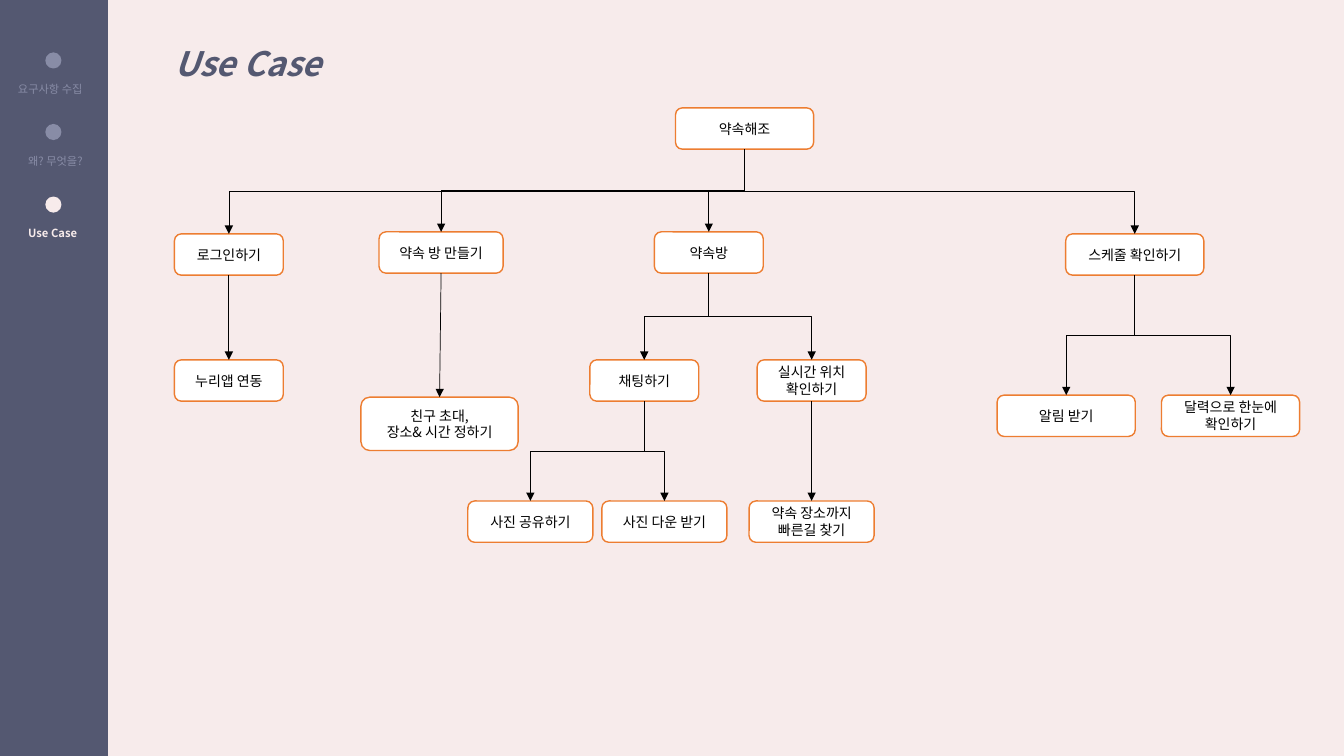
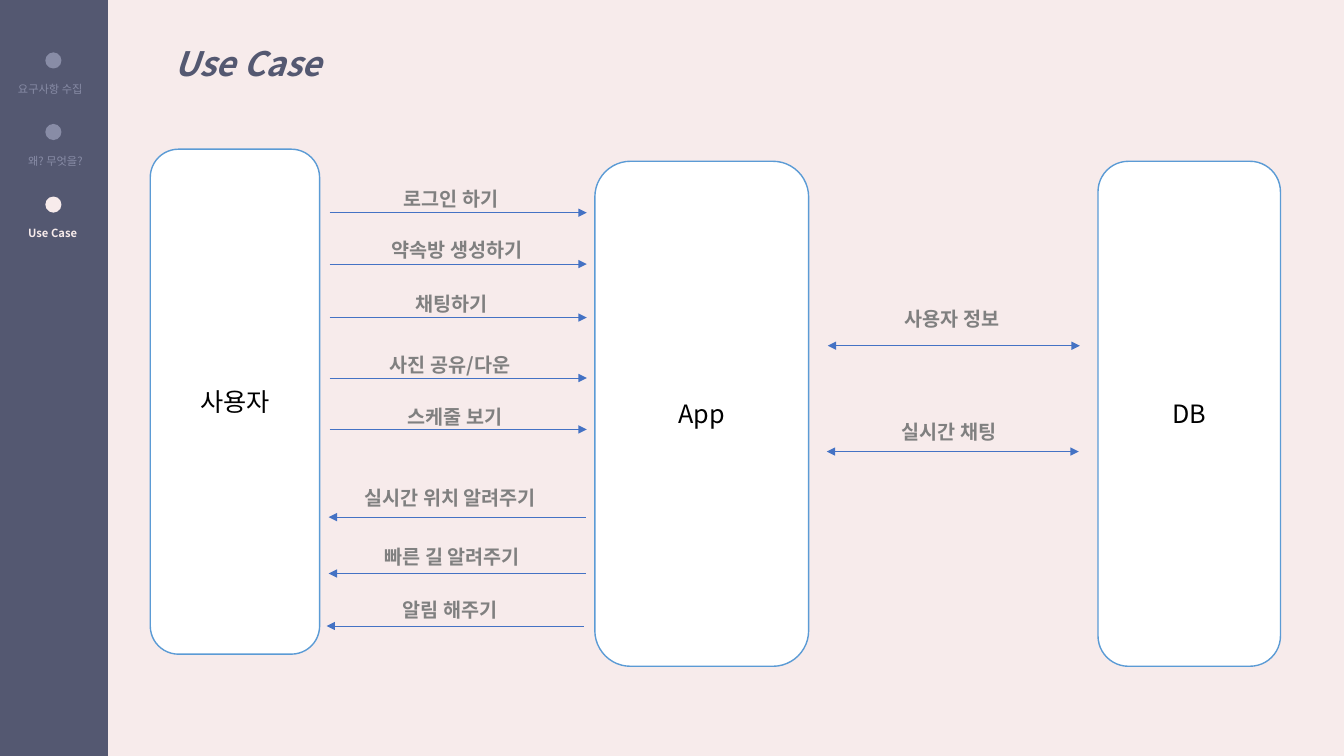
from lxml import etree
from pptx import Presentation
from pptx import util as u
from pptx.dml.color import RGBColor
from pptx.enum import shapes, text
from pptx.oxml.ns import qn

PX = 9144  # one px is a hundredth of an inch
FONT = "Noto Sans CJK KR"
NAVY, MUTED, PINK = "545871", "888CA6", "F7EBEB"
WHITE, BLACK, GREY = "FFFFFF", "000000", "808080"
ORANGE, SKY, BLUE = "ED7D31", "5B9BD5", "4472C4"
OVAL, RECT, ROUND = (shapes.MSO_SHAPE.OVAL, shapes.MSO_SHAPE.RECTANGLE,
                     shapes.MSO_SHAPE.ROUNDED_RECTANGLE)
LEFT, CENTER = text.PP_ALIGN.LEFT, text.PP_ALIGN.CENTER
color = RGBColor.from_string


def add_box(page, kind, place, fill, outline=None):
    """Add a flat preset shape at place: left, top, width, height in px."""
    box = page.shapes.add_shape(kind, *[length * PX for length in place])
    box.shadow.inherit = False
    box.fill.solid()
    box.fill.fore_color.rgb = color(fill)
    if outline:
        box.line.color.rgb = color(outline)
        box.line.width = u.Pt(1)
    else:
        box.line.fill.background()
    return box


def write(box, words, size, ink, bold=False, italic=False, align=CENTER, spacing=None):
    """Fill a shape with text, one paragraph a line."""
    box.text_frame.text = words
    for para in box.text_frame.paragraphs:
        para.alignment = align
        para.line_spacing = spacing
        for span in para.runs:
            span.font.size = u.Pt(size)
            span.font.bold = bold
            span.font.italic = italic
            span.font.color.rgb = color(ink)
            span.font.name = FONT
            etree.SubElement(span.font._element, qn("a:ea"), typeface=FONT)


deck = Presentation()
deck.slide_width, deck.slide_height = u.Inches(13.33), u.Inches(7.5)
deck.slide_master.background.fill.solid()
deck.slide_master.background.fill.fore_color.rgb = color(PINK)

# Title place, shared through the layout
layout = deck.slide_layouts.get_by_name("Title Only")
heading = layout.placeholders[0]
heading.left, heading.top, heading.width, heading.height = [
    length * PX for length in (163, 18, 603, 87)]

# Sidebar steps: words, label left, label width, colour, current
steps = [
    ("요구사항 수집", 8, 92, MUTED, False),
    ("왜? 무엇을?", 18, 79, MUTED, False),
    ("Use Case", 18, 69, PINK, True),
]
tree_page, flow_page = [deck.slides.add_slide(layout) for _ in range(2)]
for page in (tree_page, flow_page):
    title = page.shapes.title
    write(title, "Use Case", 24, NAVY, bold=True, italic=True, align=LEFT, spacing=1.5)
    title.text_frame.vertical_anchor = text.MSO_ANCHOR.TOP
    title.text_frame.auto_size = text.MSO_AUTO_SIZE.NONE
    add_box(page, RECT, (0, 0, 107, 750), NAVY)
    for row, (words, left, width, ink, current) in enumerate(steps):
        top = 52 + row * 143 // 2
        add_box(page, OVAL, (45, top, 16, 16), ink)
        label = page.shapes.add_textbox(left * PX, (top + 25) * PX, width * PX, 24 * PX)
        label.text_frame.word_wrap = False
        label.text_frame.auto_size = text.MSO_AUTO_SIZE.SHAPE_TO_FIT_TEXT
        write(label, words, 8, ink, bold=current, align=LEFT)

arrows = []  # connector, colour, line ends

# Slide 1: use case tree; key: words, left, top, width, height, parent
tree = {
    "root": ("약속해조", 670, 107, 137, 41, None),
    "login": ("로그인하기", 173, 232, 108, 41, "root"),
    "create": ("약속 방 만들기", 376, 230, 123, 41, "root"),
    "room": ("약속방", 649, 230, 108, 41, "root"),
    "schedule": ("스케줄 확인하기", 1057, 232, 137, 41, "root"),
    "account": ("누리앱 연동", 173, 357, 108, 41, "login"),
    "invite": ("친구 초대,\n장소& 시간 정하기", 358, 394, 156, 53, "create"),
    "chat": ("채팅하기", 585, 357, 108, 41, "room"),
    "location": ("실시간 위치 확인하기", 751, 357, 108, 41, "room"),
    "alarm": ("알림 받기", 989, 392, 137, 41, "schedule"),
    "calendar": ("달력으로 한눈에 확인하기", 1152, 392, 137, 41, "schedule"),
    "share": ("사진 공유하기", 464, 497, 124, 41, "chat"),
    "download": ("사진 다운 받기", 597, 497, 124, 41, "chat"),
    "route": ("약속 장소까지 빠른길 찾기", 743, 497, 124, 41, "location"),
}
nodes = {}
for key, (words, *place, parent) in tree.items():
    nodes[key] = add_box(tree_page, ROUND, place, WHITE, ORANGE)
    write(nodes[key], words, 10, BLACK)

for key, (*_, parent) in tree.items():
    if parent is None:
        continue
    above, below = nodes[parent], nodes[key]
    start_x, start_y = above.left + above.width // 2, above.top + above.height
    end_x, end_y = below.left + below.width // 2, below.top
    across, down = abs(end_x - start_x), end_y - start_y
    bent = across > 5 * PX
    kind = shapes.MSO_CONNECTOR.ELBOW if bent else shapes.MSO_CONNECTOR.STRAIGHT
    line = tree_page.shapes.add_connector(kind, start_x, start_y, end_x, end_y)
    line.begin_connect(above, 2)
    line.end_connect(below, 0)
    if bent:
        # A turned elbow leaves its parent downwards
        line.left = (start_x + end_x - down) // 2
        line.top = (start_y + end_y - across) // 2
        line.width, line.height = down, across
        to_right = end_x > start_x
        line.rotation = 270 if to_right else 90
        line._element.spPr.find(qn("a:xfrm")).set("flipH", "1" if to_right else "0")
    arrows.append((line, BLACK, ["tailEnd"]))

# Slide 2: actors
for words, *place in [
    ("App", 590, 160, 212, 501),
    ("DB", 1089, 160, 181, 501),
    ("사용자", 149, 148, 168, 501),
]:
    write(add_box(flow_page, ROUND, place, WHITE, SKY), words, 18, BLACK)

# Messages: words, label left, label top, arrow start, arrow end, arrow y, line ends
one_way, both_ways = ["tailEnd"], ["headEnd", "tailEnd"]
messages = [
    ("로그인 하기", 303, 169, 327, 582, 211, one_way),
    ("약속방 생성하기", 309, 219, 327, 582, 262, one_way),
    ("채팅하기", 303, 273, 327, 582, 315, one_way),
    ("사진 공유/다운", 302, 334, 327, 582, 375, one_way),
    ("스케줄 보기", 307, 385, 327, 582, 426, one_way),
    ("실시간 위치 알려주기", 302, 465, 581, 326, 513, one_way),
    ("빠른 길 알려주기", 304, 524, 581, 326, 569, one_way),
    ("알림 해주기", 302, 577, 579, 324, 621, one_way),
    ("사용자 정보", 800, 288, 821, 1071, 343, both_ways),
    ("실시간 채팅", 797, 400, 820, 1070, 448, both_ways),
]
for words, left, top, start, end, y, ends in messages:
    label = flow_page.shapes.add_textbox(left * PX, top * PX, 289 * PX, 41 * PX)
    label.text_frame.word_wrap = True
    label.text_frame.auto_size = text.MSO_AUTO_SIZE.SHAPE_TO_FIT_TEXT
    write(label, words, 14, GREY, bold=True, spacing=1.5)
    line = flow_page.shapes.add_connector(
        shapes.MSO_CONNECTOR.STRAIGHT, start * PX, y * PX, end * PX, y * PX)
    arrows.append((line, BLUE, ends))

# Line style and arrowheads
for line, ink, ends in arrows:
    line.line.color.rgb = color(ink)
    line.line.width = u.Pt(0.5)
    properties = line._element.spPr
    for end in ends:
        etree.SubElement(properties.find(qn("a:ln")), qn("a:" + end), type="triangle")
    etree.SubElement(properties, qn("a:effectLst"))

deck.save("out.pptx")
